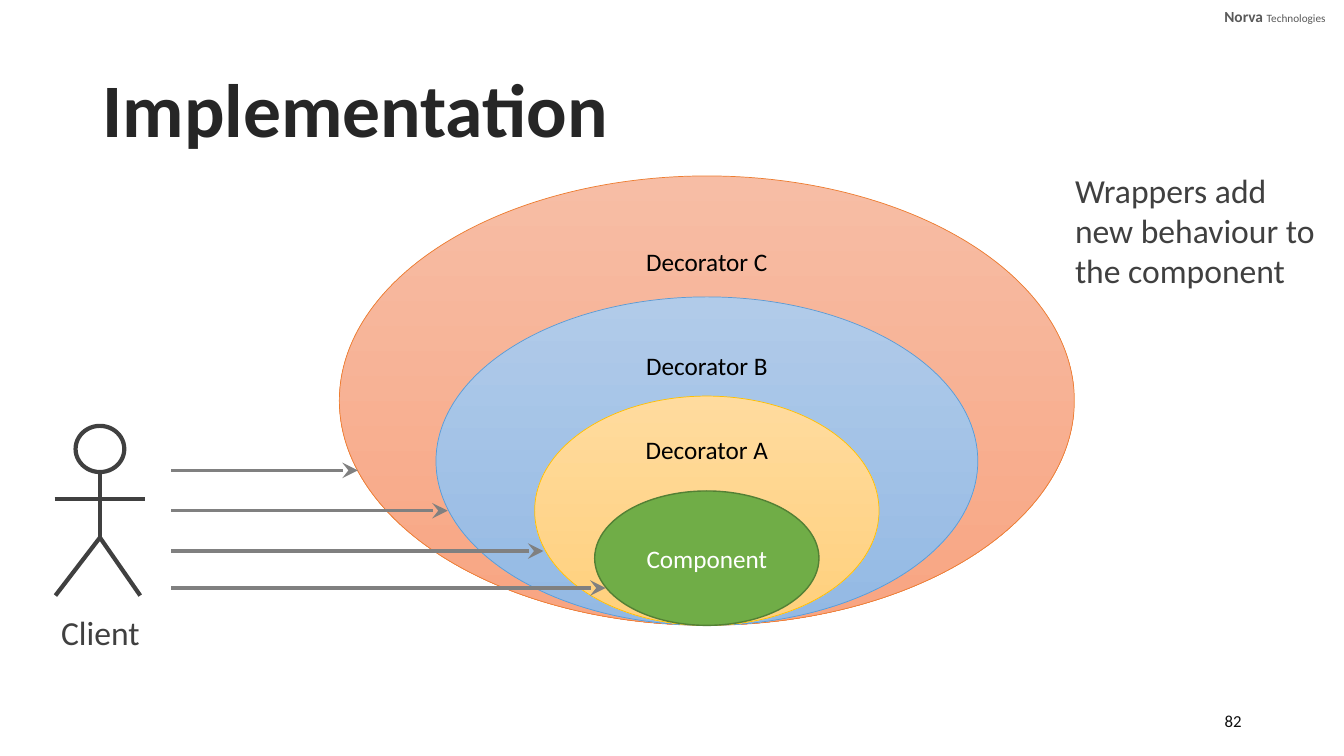
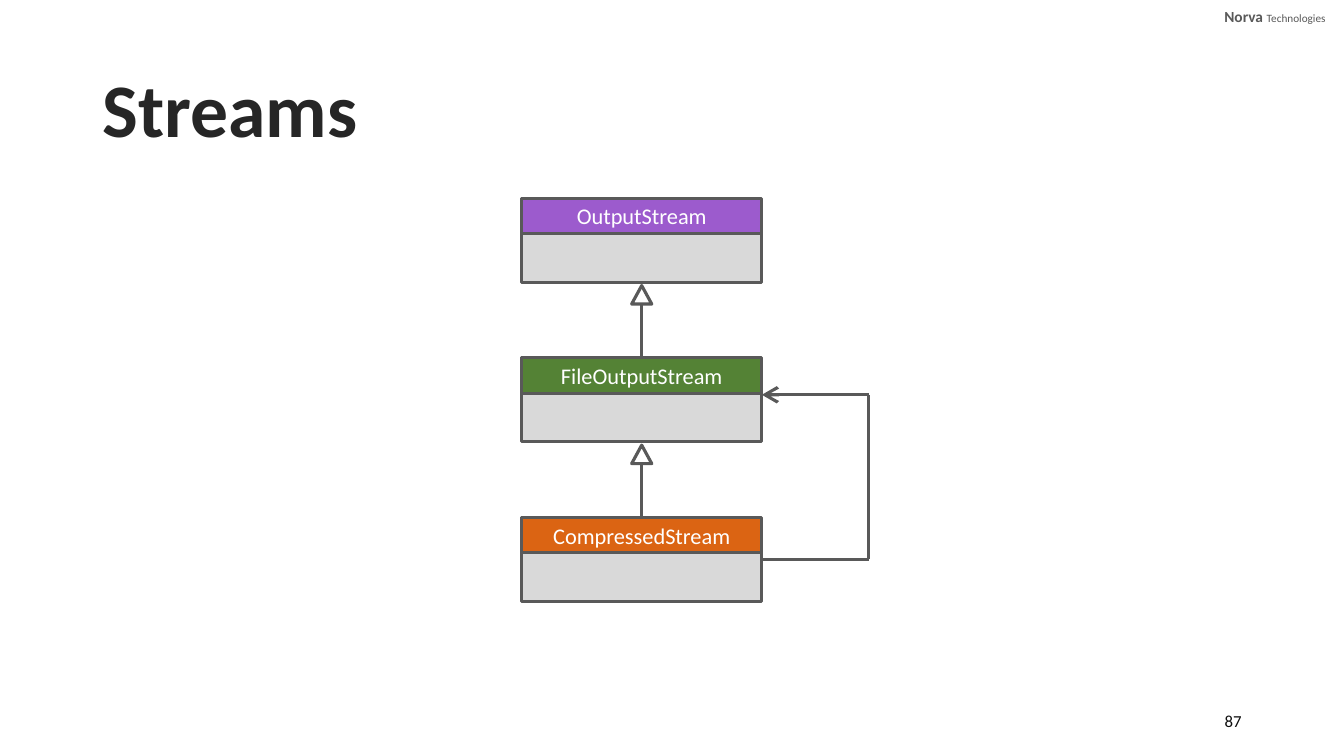
from lxml.etree import SubElement
from pptx import Presentation
from pptx.dml.color import RGBColor
from pptx.enum.shapes import MSO_CONNECTOR, MSO_SHAPE
from pptx.enum.text import MSO_ANCHOR, PP_ALIGN
from pptx.oxml.ns import qn
from pptx.util import Inches, Pt

# The slide is a grid of square cells; all lengths below count cells.
COLUMNS, ROWS = 160, 90
CELL = Inches(1 / 12)
FONT = "Calibri"

WHITE = RGBColor(0xFF, 0xFF, 0xFF)
BLACK = RGBColor(0x00, 0x00, 0x00)
TITLE_INK = RGBColor(0x26, 0x26, 0x26)
NUMBER_INK = RGBColor(0x0D, 0x0D, 0x0D)
BODY_INK = RGBColor(0x40, 0x40, 0x40)
OUTLINE = RGBColor(0x59, 0x59, 0x59)
ARROW_GRAY = RGBColor(0x80, 0x80, 0x80)
PANEL_GRAY = RGBColor(0xD9, 0xD9, 0xD9)
ORANGE = RGBColor(0xED, 0x7D, 0x31)
ORANGE_TOP = RGBColor(0xF7, 0xBD, 0xA5)
ORANGE_BOTTOM = RGBColor(0xF8, 0xA5, 0x82)
BLUE = RGBColor(0x5B, 0x9B, 0xD5)
BLUE_TOP = RGBColor(0xB1, 0xCB, 0xE9)
BLUE_BOTTOM = RGBColor(0x93, 0xB9, 0xE4)
GOLD = RGBColor(0xFF, 0xC0, 0x00)
GOLD_TOP = RGBColor(0xFF, 0xDB, 0x9E)
GOLD_BOTTOM = RGBColor(0xFF, 0xD0, 0x7C)
GREEN = RGBColor(0x70, 0xAD, 0x47)
GREEN_EDGE = RGBColor(0x53, 0x80, 0x35)
PURPLE = RGBColor(0x9C, 0x5B, 0xCD)
DARK_GREEN = RGBColor(0x54, 0x82, 0x35)
DARK_ORANGE = RGBColor(0xDB, 0x64, 0x13)


def add_block(slide, box, text="", *, kind=None, holder=None, fill=None, fill_end=None,
              line=None, width=1, size=18, color=BODY_INK, bold=False,
              align=PP_ALIGN.LEFT, anchor=MSO_ANCHOR.MIDDLE, spacing=1.0):
    """Fill a placeholder, or add a preset shape or (without kind) a text box."""
    left, top, wide, high = (round(cells * CELL) for cells in box)
    if holder is not None:
        block = holder
        block.left, block.top, block.width, block.height = left, top, wide, high
    elif kind is not None:
        block = slide.shapes.add_shape(kind, left, top, wide, high)
        block.shadow.inherit = False
    else:
        block = slide.shapes.add_textbox(left, top, wide, high)

    if fill_end is not None:
        block.fill.gradient()
        block.fill.gradient_angle = 270
        for stop, shade in zip(block.fill.gradient_stops, (fill, fill_end)):
            stop.color.rgb = shade
    elif fill is not None:
        block.fill.solid()
        block.fill.fore_color.rgb = fill
    else:
        block.fill.background()
    if line is not None:
        block.line.color.rgb = line
        block.line.width = Pt(width)
    else:
        block.line.fill.background()

    if text:
        frame = block.text_frame
        frame.word_wrap = True
        frame.vertical_anchor = anchor
        paragraph = frame.paragraphs[0]
        paragraph.alignment = align
        paragraph.line_spacing = spacing
        run = paragraph.add_run()
        run.text = text
        run.font.name = FONT
        run.font.size = Pt(size)
        run.font.bold = bold
        run.font.color.rgb = color
    return block


def add_line(slide, start, end, color, width, arrowhead=None):
    ends = (round(cells * CELL) for cells in (*start, *end))
    line = slide.shapes.add_connector(MSO_CONNECTOR.STRAIGHT, *ends)
    line.line.color.rgb = color
    line.line.width = Pt(width)
    if arrowhead:
        SubElement(line.line._get_or_add_ln(), qn("a:tailEnd"), type=arrowhead,
                   w="lg", len="lg")
    SubElement(line._element.spPr, qn("a:effectLst"))


deck = Presentation()
deck.slide_width = COLUMNS * CELL
deck.slide_height = ROWS * CELL

# Title, company name and page number on every slide
pages = []
for heading, number in (("Implementation", "82"), ("Streams", "87")):
    page = deck.slides.add_slide(deck.slide_layouts[5])
    add_block(page, (11, 4.8, 138, 17.4), heading, holder=page.shapes.title,
              size=54, color=TITLE_INK, bold=True, spacing=0.9)
    company = add_block(page, (143, 0, 16, 4), "Norva ", size=11, color=OUTLINE,
                        bold=True, align=PP_ALIGN.RIGHT)
    suffix = company.text_frame.paragraphs[0].add_run()
    suffix.text = "Technologies"
    suffix.font.name = FONT
    suffix.font.size = Pt(8)
    suffix.font.color.rgb = OUTLINE
    add_block(page, (113, 83.4, 36, 4.8), number, size=12, color=NUMBER_INK,
              align=PP_ALIGN.RIGHT)
    pages.append(page)
implementation, streams = pages

# Implementation: nested wrappers share a centre line and a bottom edge
WRAPPER_CENTRE, WRAPPER_BOTTOM = 84.15, 74.45
wrappers = (
    ("Decorator C", 87.5, 53.5, ORANGE_TOP, ORANGE_BOTTOM, ORANGE),
    ("Decorator B", 64.5, 39.1, BLUE_TOP, BLUE_BOTTOM, BLUE),
    ("Decorator A", 41, 27.3, GOLD_TOP, GOLD_BOTTOM, GOLD),
    ("Component", 26.7, 16, GREEN, None, GREEN_EDGE),
)
for name, wide, high, shade, shade_end, edge in wrappers:
    is_core = shade_end is None
    add_block(implementation,
              (WRAPPER_CENTRE - wide / 2, WRAPPER_BOTTOM - high, wide, high), name,
              kind=MSO_SHAPE.OVAL, fill=shade, fill_end=shade_end, line=edge,
              width=1 if is_core else 0.5, color=WHITE if is_core else BLACK,
              align=PP_ALIGN.CENTER,
              anchor=MSO_ANCHOR.MIDDLE if is_core else MSO_ANCHOR.TOP)

add_block(implementation, (126.8, 19.6, 31.1, 15.7),
          "Wrappers add new behaviour to the component", size=24, anchor=MSO_ANCHOR.TOP)

# Client figure
add_block(implementation, (9, 50.7, 5.8, 5.5), kind=MSO_SHAPE.OVAL, line=BODY_INK, width=3)
neck, hip = (11.9, 56.2), (11.9, 64)
limbs = ((neck, hip), (hip, (16.7, 70.9)), (hip, (6.6, 70.9)), ((6.5, 59.4), (17.3, 59.4)))
for start, end in limbs:
    add_line(implementation, start, end, BODY_INK, 3)
add_block(implementation, (2.4, 72.2, 19.1, 6), "Client", size=24, align=PP_ALIGN.CENTER)

# Calls from the client to each layer
for target, row in ((42.6, 56), (53.3, 60.8), (64.7, 65.6), (72.1, 70)):
    add_line(implementation, (20.4, row), (target, row), ARROW_GRAY, 2.25, "stealth")

# Streams: equally spaced classes, each inheriting from the one above
CLASS_LEFT, CLASS_WIDTH, FIRST_TOP, CLASS_PITCH = 62.1, 28.6, 23.6, 19
NAME_HEIGHT, MEMBERS_HEIGHT = 4.2, 5.8
TRIANGLE_WIDTH, TRIANGLE_HEIGHT, TRIANGLE_GAP = 2.4, 2.2, 0.4
class_centre = CLASS_LEFT + CLASS_WIDTH / 2
class_right = CLASS_LEFT + CLASS_WIDTH
border = {"line": OUTLINE, "width": 2.25}
classes = (("OutputStream", PURPLE), ("FileOutputStream", DARK_GREEN),
           ("CompressedStream", DARK_ORANGE))
class_tops = [FIRST_TOP + index * CLASS_PITCH for index in range(len(classes))]

for (name, shade), top in zip(classes, class_tops):
    add_block(streams, (CLASS_LEFT, top, CLASS_WIDTH, NAME_HEIGHT), name,
              kind=MSO_SHAPE.RECTANGLE, fill=shade, size=16, color=WHITE,
              align=PP_ALIGN.CENTER, **border)
    add_block(streams, (CLASS_LEFT, top + NAME_HEIGHT, CLASS_WIDTH, MEMBERS_HEIGHT),
              kind=MSO_SHAPE.RECTANGLE, fill=PANEL_GRAY, **border)

for parent_top, child_top in zip(class_tops, class_tops[1:]):
    tip = parent_top + NAME_HEIGHT + MEMBERS_HEIGHT + TRIANGLE_GAP
    add_block(streams,
              (class_centre - TRIANGLE_WIDTH / 2, tip, TRIANGLE_WIDTH, TRIANGLE_HEIGHT),
              kind=MSO_SHAPE.ISOSCELES_TRIANGLE, **border)
    add_line(streams, (class_centre, tip + TRIANGLE_HEIGHT), (class_centre, child_top),
             OUTLINE, 2.25)

# CompressedStream refers back to FileOutputStream
REFERENCE_COLUMN = 103.4
reference_top, reference_bottom = class_tops[1] + 4.4, class_tops[2] + 5
upper_corner = (REFERENCE_COLUMN, reference_top)
lower_corner = (REFERENCE_COLUMN, reference_bottom)
add_line(streams, (class_right, reference_bottom), lower_corner, OUTLINE, 2.25)
add_line(streams, lower_corner, upper_corner, OUTLINE, 2.25)
add_line(streams, upper_corner, (class_right, reference_top), OUTLINE, 2.25, "arrow")

deck.save("out.pptx")
